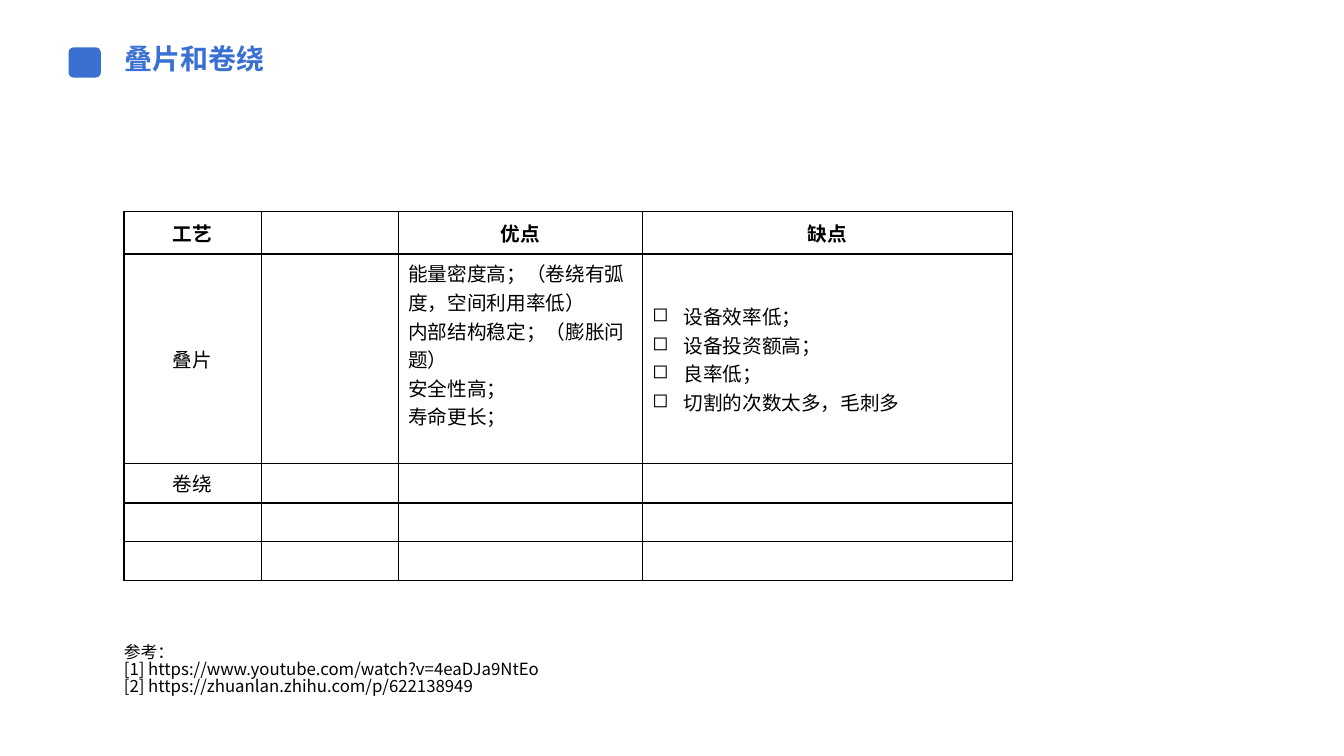
from dataclasses import dataclass

import pptx
import pptx.dml.color
import pptx.enum.shapes
import pptx.enum.text
import pptx.oxml.ns
import pptx.util
from lxml import etree

Inches = pptx.util.Inches
Pt = pptx.util.Pt
ALIGN = pptx.enum.text.PP_ALIGN
ANCHOR = pptx.enum.text.MSO_ANCHOR
qn = pptx.oxml.ns.qn


@dataclass(frozen=True)
class Theme:
    font: str = "Noto Sans CJK SC"
    title_color: str = "3A70D3"
    marker_color: str = "3A70D2"
    ink: str = "000000"
    title_size: float = 20
    table_size: float = 14
    reference_size: float = 12
    border: float = 1


@dataclass(frozen=True)
class Box:
    left: float
    top: float
    width: float
    height: float

    def lengths(self) -> tuple:
        return tuple(map(Inches, (self.left, self.top, self.width, self.height)))


@dataclass(frozen=True)
class Entry:
    text: str = ""
    bold: bool = False
    align: ALIGN = ALIGN.CENTER
    anchor: ANCHOR = ANCHOR.MIDDLE
    bullet: str = ""


THEME = Theme()

COLUMN_WIDTHS = (1.36, 1.36, 2.42, 3.67)
ROW_HEIGHTS = (0.42, 2.08, 0.39, 0.38, 0.39)

STACKING_PROS = """能量密度高；（卷绕有弧度，空间利用率低）
内部结构稳定；（膨胀问题）
安全性高；
寿命更长；"""
STACKING_CONS = """设备效率低；
设备投资额高；
良率低；
切割的次数太多，毛刺多"""
REFERENCES = """参考：
[1] https://www.youtube.com/watch?v=4eaDJa9NtEo
[2] https://zhuanlan.zhihu.com/p/622138949"""

# Filled cells by (row, column)
ENTRIES = {
    (0, 0): Entry("工艺", bold=True),
    (0, 2): Entry("优点", bold=True),
    (0, 3): Entry("缺点", bold=True),
    (1, 0): Entry("叠片"),
    (1, 2): Entry(STACKING_PROS, align=ALIGN.LEFT, anchor=ANCHOR.TOP),
    (1, 3): Entry(STACKING_CONS, align=ALIGN.LEFT, bullet="◻"),
    (2, 0): Entry("卷绕"),
}


def rgb(color: str) -> pptx.dml.color.RGBColor:
    return pptx.dml.color.RGBColor.from_string(color)


def format_text(frame, size: float, color: str, bold: bool = False,
                align: ALIGN = ALIGN.LEFT, spacing: float = 1.0) -> None:
    for paragraph in frame.paragraphs:
        paragraph.alignment = align
        paragraph.line_spacing = spacing
        paragraph.space_before = Pt(0)
        for run in paragraph.runs:
            run.font.size = Pt(size)
            run.font.bold = bold
            run.font.name = THEME.font
            run.font.color.rgb = rgb(color)
            east_asian = etree.Element(qn("a:ea"), typeface=THEME.font)
            run.font._element.find(qn("a:latin")).addnext(east_asian)


def add_bullets(frame, symbol: str) -> None:
    for paragraph in frame.paragraphs:
        properties = paragraph._p.get_or_add_pPr()
        properties.set("marL", str(Inches(0.31)))
        properties.set("indent", str(-Inches(0.31)))
        etree.SubElement(properties, qn("a:buChar"), char=symbol)


def add_borders(cell) -> None:
    properties = cell._tc.get_or_add_tcPr()
    for index, side in enumerate(("a:lnL", "a:lnR", "a:lnT", "a:lnB")):
        line = etree.Element(qn(side), w=str(Pt(THEME.border)))
        fill = etree.SubElement(line, qn("a:solidFill"))
        etree.SubElement(fill, qn("a:srgbClr"), val=THEME.ink)
        properties.insert(index, line)


def fill_cell(cell, entry: Entry) -> None:
    frame = cell.text_frame
    cell.vertical_anchor = entry.anchor
    cell.fill.background()
    add_borders(cell)
    if entry.text:
        frame.text = entry.text
        format_text(frame, THEME.table_size, THEME.ink, entry.bold, entry.align)
        if entry.bullet:
            add_bullets(frame, entry.bullet)
    else:
        # Keeps an empty row as low as a row of table text
        etree.SubElement(frame.paragraphs[0]._p, qn("a:endParaRPr"),
                         sz=str(int(THEME.table_size * 100)))


def add_title(slide, text: str, box: Box) -> None:
    title = slide.shapes.title
    title.left, title.top, title.width, title.height = box.lengths()
    frame = title.text_frame
    frame.text = text
    frame.auto_size = pptx.enum.text.MSO_AUTO_SIZE.NONE
    frame.vertical_anchor = ANCHOR.TOP
    format_text(frame, THEME.title_size, THEME.title_color, bold=True, spacing=0.9)


def add_marker(slide, box: Box) -> None:
    marker = slide.shapes.add_shape(
        pptx.enum.shapes.MSO_SHAPE.ROUNDED_RECTANGLE, *box.lengths())
    marker.shadow.inherit = False
    marker.fill.solid()
    marker.fill.fore_color.rgb = rgb(THEME.marker_color)
    marker.line.fill.background()


def add_comparison(slide, left: float, top: float) -> None:
    box = Box(left, top, sum(COLUMN_WIDTHS), sum(ROW_HEIGHTS))
    comparison = slide.shapes.add_table(
        len(ROW_HEIGHTS), len(COLUMN_WIDTHS), *box.lengths()).table
    comparison.first_row = comparison.horz_banding = False
    for column, width in zip(comparison.columns, COLUMN_WIDTHS):
        column.width = Inches(width)
    for r, height in enumerate(ROW_HEIGHTS):
        comparison.rows[r].height = Inches(height)
        for c in range(len(COLUMN_WIDTHS)):
            fill_cell(comparison.cell(r, c), ENTRIES.get((r, c), Entry()))


def add_references(slide, box: Box) -> None:
    frame = slide.shapes.add_textbox(*box.lengths()).text_frame
    frame.word_wrap = True
    frame.text = REFERENCES
    format_text(frame, THEME.reference_size, THEME.ink, spacing=0.85)


def main() -> None:
    deck = pptx.Presentation()
    deck.slide_width, deck.slide_height = Inches(13.33), Inches(7.5)
    slide = deck.slides.add_slide(deck.slide_layouts[5])

    # Heading
    add_marker(slide, Box(0.68, 0.47, 0.32, 0.3))
    add_title(slide, "叠片和卷绕", Box(1.13, 0.4, 8.22, 0.35))

    # Process comparison and its sources
    add_comparison(slide, 1.23, 2.1)
    add_references(slide, Box(1.13, 6.35, 4.68, 0.64))

    deck.save("out.pptx")


if __name__ == "__main__":
    main()
